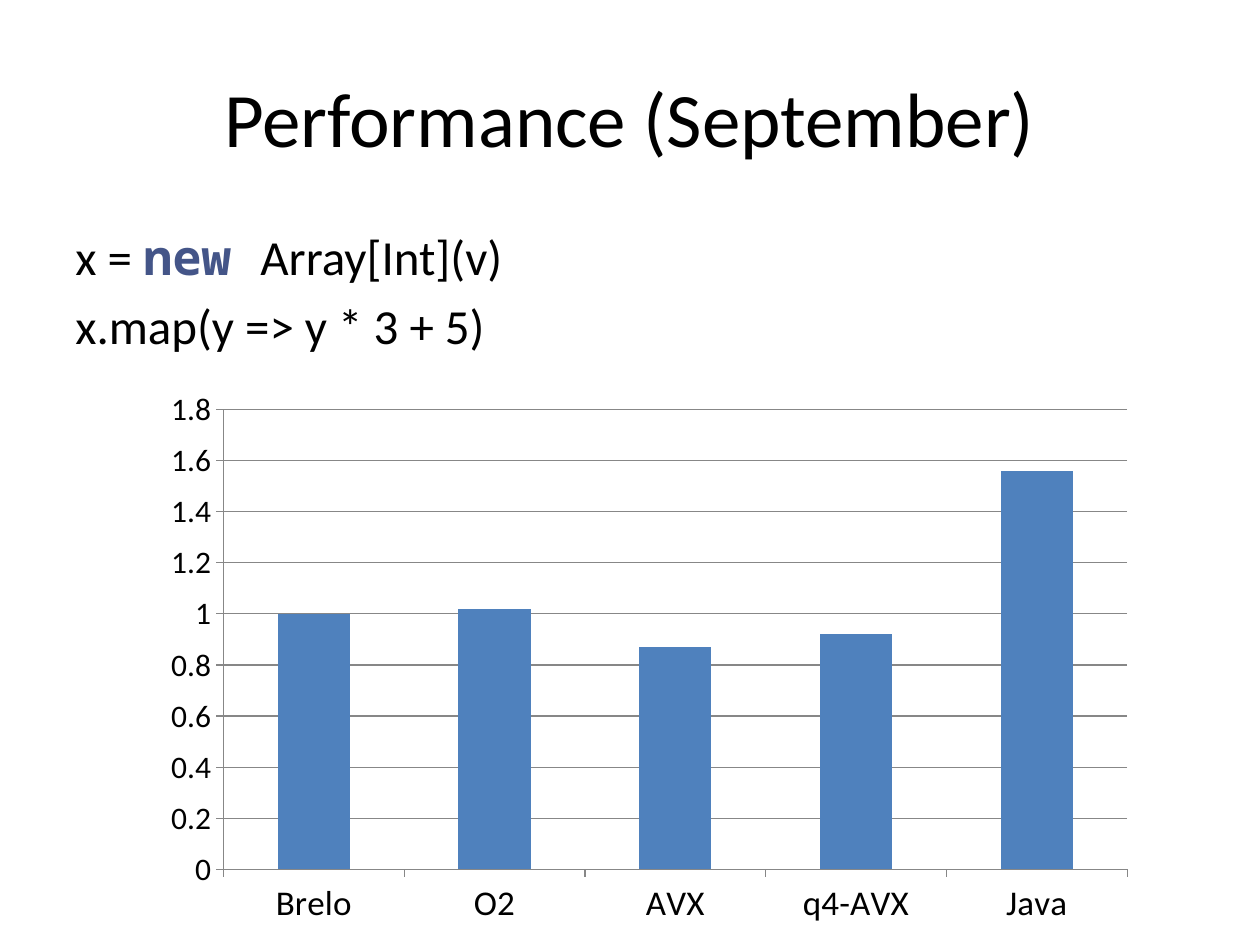
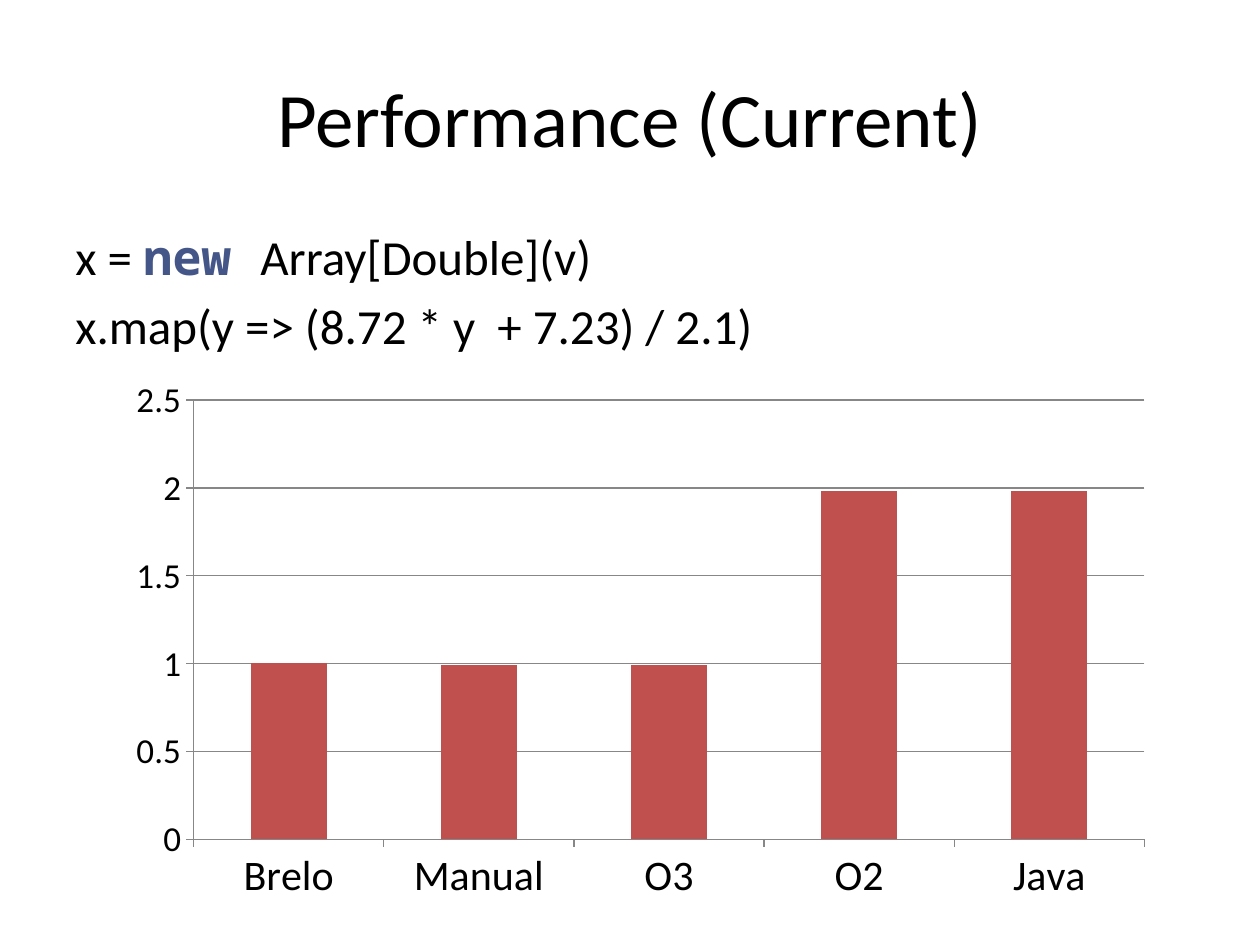
from dataclasses import dataclass

from lxml.etree import SubElement
from pptx import Presentation
from pptx.chart.data import CategoryChartData
from pptx.dml.color import RGBColor
from pptx.enum.chart import XL_CHART_TYPE, XL_TICK_MARK
from pptx.enum.text import MSO_ANCHOR, PP_ALIGN
from pptx.oxml.ns import qn
from pptx.util import Pt


@dataclass(frozen=True)
class Theme:
    font: str = "Calibri"
    code_font: str = "Noto Sans Mono"
    text: RGBColor = RGBColor(0, 0, 0)
    keyword: RGBColor = RGBColor(0x44, 0x55, 0x88)
    grid: RGBColor = RGBColor(0x87, 0x87, 0x87)
    blue: RGBColor = RGBColor(0x4F, 0x81, 0xBD)
    red: RGBColor = RGBColor(0xC0, 0x50, 0x4D)
    title_size: int = 44
    body_size: int = 28
    body_gap: float = 5.6


class PerformanceDeck:
    def __init__(self, theme):
        self.theme = theme
        self.deck = Presentation()
        self.deck.slide_width, self.deck.slide_height = Pt(720), Pt(540)
        self.page = None

    def style(self, font, size):
        font.name = self.theme.font
        font.size = Pt(size)
        font.bold = False
        font.color.rgb = self.theme.text

    def add_page(self, title):
        self.page = self.deck.slides.add_slide(self.deck.slide_layouts[5])
        box = self.page.shapes.title
        box.left, box.top, box.width, box.height = Pt(36), Pt(21.6), Pt(648), Pt(90)
        box.text_frame.text = title
        box.text_frame.vertical_anchor = MSO_ANCHOR.MIDDLE
        para = box.text_frame.paragraphs[0]
        para.alignment = PP_ALIGN.CENTER
        self.style(para.font, self.theme.title_size)

    def add_code(self, array_type, mapping):
        box = self.page.shapes.add_textbox(Pt(36), Pt(126), Pt(648), Pt(95.76))
        frame = box.text_frame
        frame.word_wrap = True
        lines = (["x = ", "new ", f"Array[{array_type}](v)"], [f"x.map({mapping})"])
        for index, line in enumerate(lines):
            para = frame.add_paragraph() if index else frame.paragraphs[0]
            para.space_before = Pt(self.theme.body_gap)
            self.style(para.font, self.theme.body_size)
            for words in line:
                span = para.add_run()
                span.text = words
                if words == "new ":
                    span.font.name = self.theme.code_font
                    span.font.bold = True
                    span.font.color.rgb = self.theme.keyword

    def add_bars(self, place, values, color, scale, sizes, plot_area):
        data = CategoryChartData()
        data.categories = list(values)
        data.add_series("Series 1", list(values.values()))
        chart = self.page.shapes.add_chart(
            XL_CHART_TYPE.COLUMN_CLUSTERED, *map(Pt, place), data).chart
        chart.has_legend = False
        chart.has_title = False
        plot = chart.plots[0]
        plot.gap_width = 150
        plot.vary_by_categories = False
        fill = plot.series[0].format.fill
        fill.solid()
        fill.fore_color.rgb = color
        for axis, size in zip((chart.category_axis, chart.value_axis), sizes):
            axis.major_tick_mark = XL_TICK_MARK.OUTSIDE
            axis.minor_tick_mark = XL_TICK_MARK.NONE
            self.style(axis.tick_labels.font, size)
            self.draw_line(axis.format.line)
        axis = chart.value_axis
        axis.minimum_scale = 0
        axis.maximum_scale, axis.major_unit = scale
        axis.tick_labels.number_format = "General"
        axis.tick_labels.number_format_is_linked = False
        axis.has_major_gridlines = True
        self.draw_line(axis.major_gridlines.format.line)
        self.place_plot(chart, plot_area)

    def draw_line(self, line):
        line.color.rgb = self.theme.grid
        line.width = Pt(0.75)

    def place_plot(self, chart, plot_area):
        area = chart.plots[0]._element.getparent()
        layout = area.find(qn("c:layout"))
        if layout is None:
            layout = SubElement(area, qn("c:layout"))
            area.insert(0, layout)
        manual = SubElement(layout, qn("c:manualLayout"))
        settings = {"layoutTarget": "inner", "xMode": "edge", "yMode": "edge"}
        settings.update(zip("xywh", plot_area))
        for name, value in settings.items():
            SubElement(manual, qn(f"c:{name}")).set("val", str(value))

    def save(self):
        self.deck.save("out.pptx")


def main():
    theme = Theme()
    show = PerformanceDeck(theme)

    show.add_page("Performance (September)")
    show.add_code("Int", "y => y * 3 + 5")
    show.add_bars(
        (90, 210.24, 580.32, 318.24),
        {"Brelo": 1, "O2": 1.02, "AVX": 0.87, "q4-AVX": 0.92, "Java": 1.56},
        theme.blue, scale=(1.8, 0.2), sizes=(20, 18),
        plot_area=(0.065, 0.075, 0.89, 0.833))

    show.add_page("Performance (Current)")
    show.add_code("Double", "y => (8.72 * y  + 7.23) / 2.1")
    show.add_bars(
        (66.24, 210.24, 599.76, 311.76),
        {"Brelo": 1, "Manual": 0.99, "O3": 0.99, "O2": 1.98, "Java": 1.98},
        theme.red, scale=(2.5, 0.5), sizes=(24, 20),
        plot_area=(0.074, 0.059, 0.906, 0.805))

    show.save()


if __name__ == "__main__":
    main()
